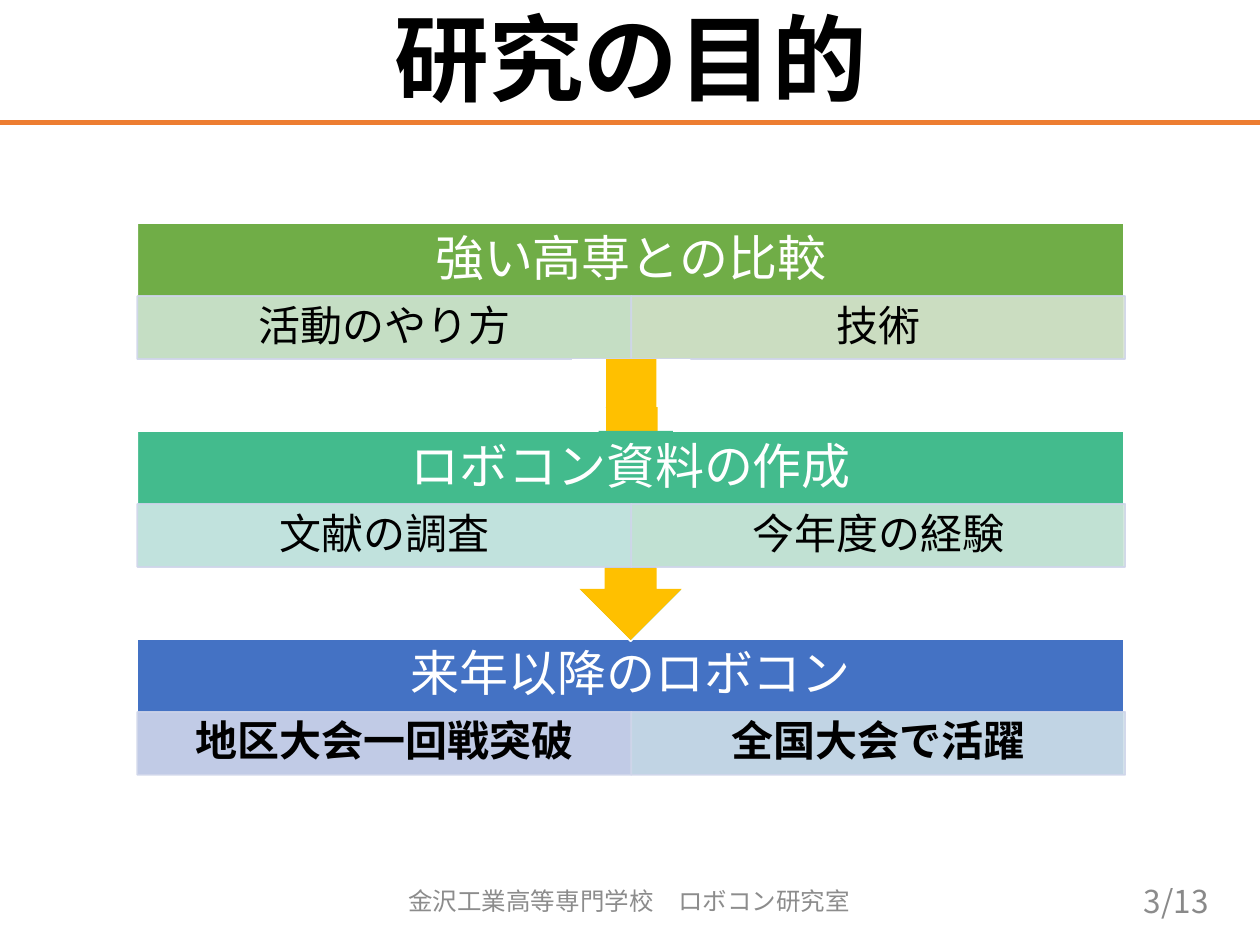
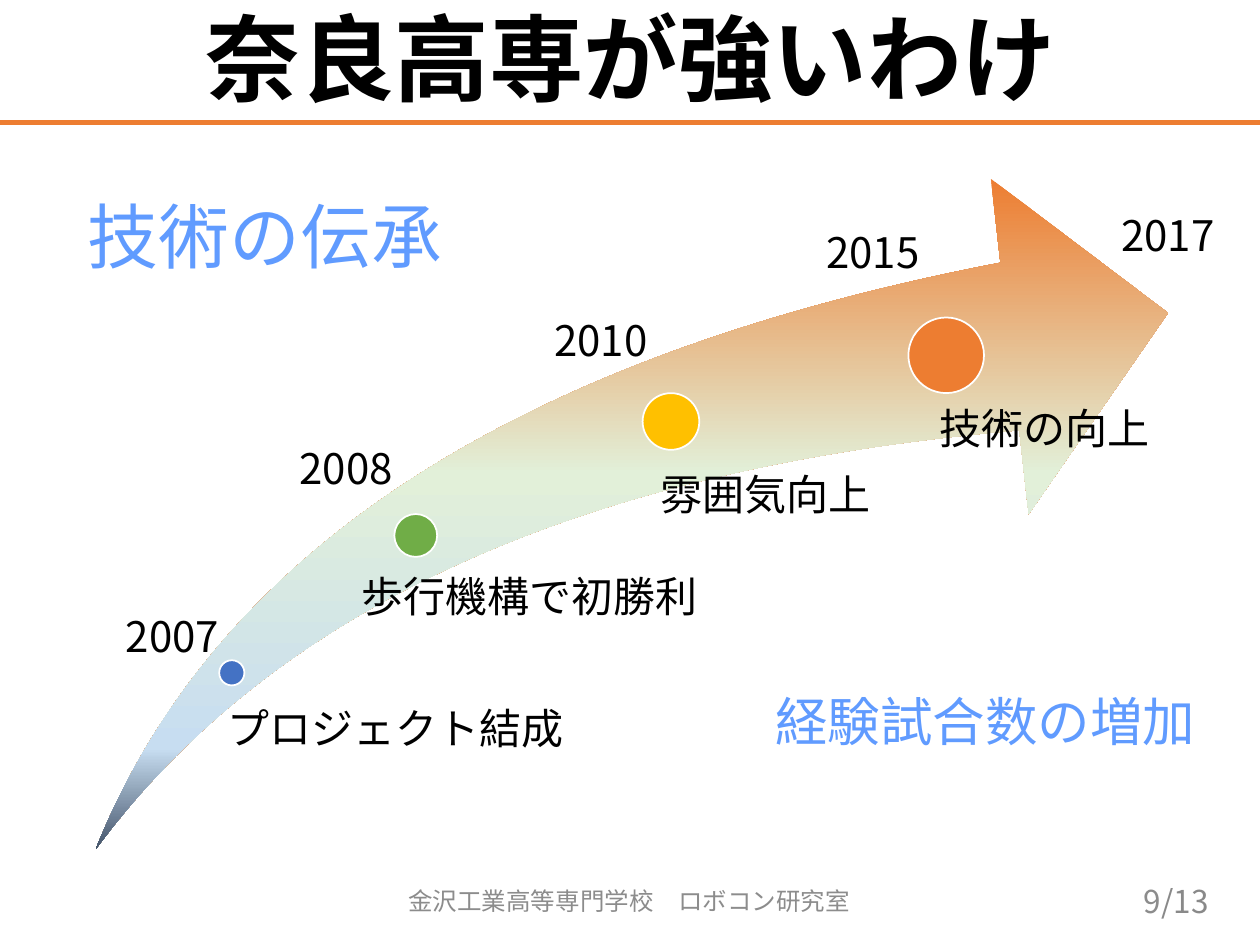
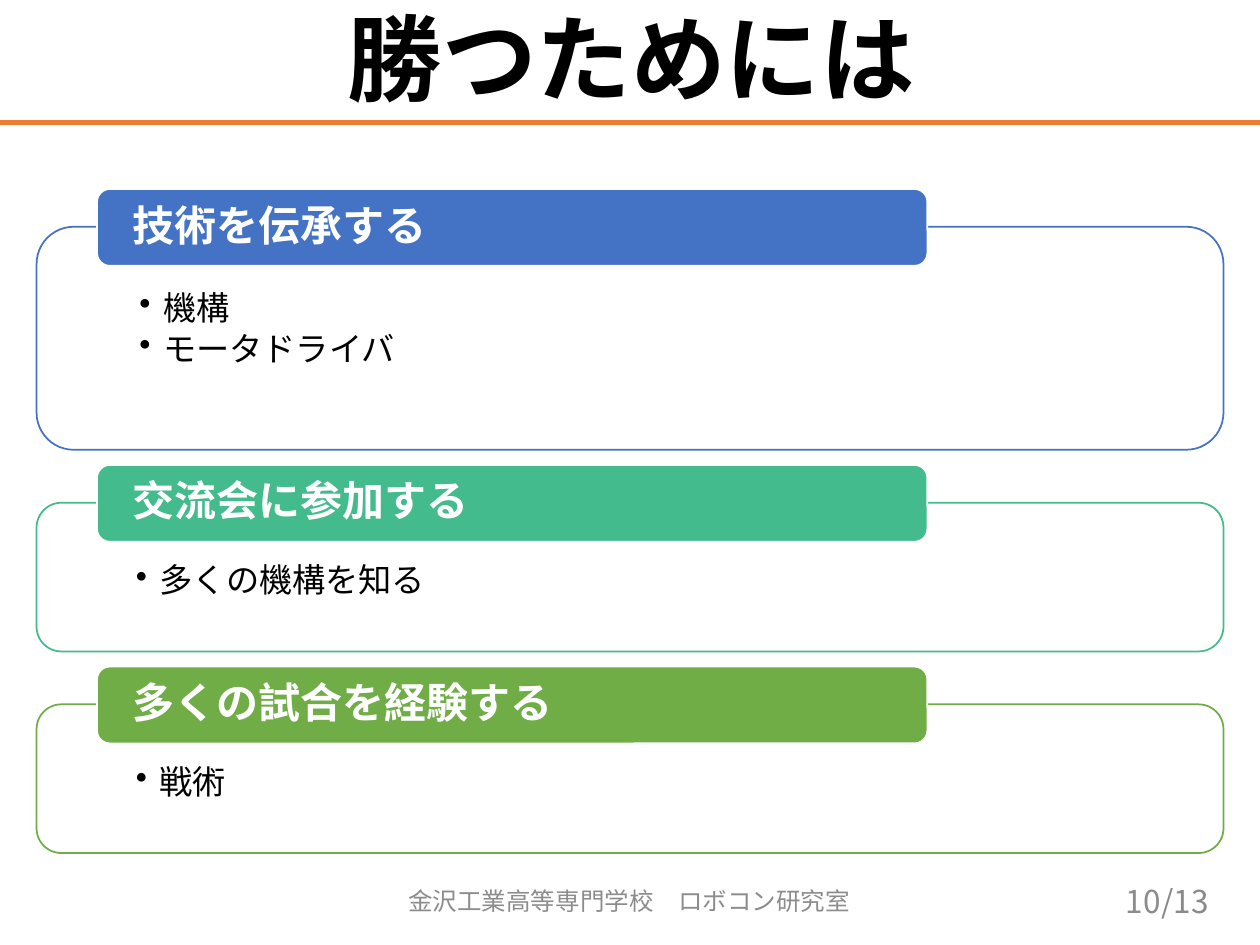
from lxml.etree import SubElement
from pptx import Presentation
from pptx.dml.color import RGBColor
from pptx.enum.shapes import MSO_CONNECTOR as Connector, MSO_SHAPE as Shape
from pptx.enum.text import MSO_ANCHOR as Anchor, PP_ALIGN as Align
from pptx.oxml.ns import qn
from pptx.util import Emu, Pt

BLUE, TEAL, GREEN = "4472C4", "43BB8D", "70AD47"
ORANGE, YELLOW = "ED7D31", "FFC000"
WHITE, BLACK, GREY, SKY = "FFFFFF", "000000", "8C8C8C", "609BFF"
CELL_EDGE = "CFD5EA"


def px(length):
    return Emu(length * 9144)


def rgb(color):
    return RGBColor.from_string(color)


def set_alpha(parent, percent):
    color = parent.find(qn("a:solidFill")).find(qn("a:srgbClr"))
    SubElement(color, qn("a:alpha"), val=str(percent * 1000))


class Deck:
    font = "Noto Sans CJK JP"
    footer = "金沢工業高等専門学校　ロボコン研究室"
    total = "/13"

    def __init__(self):
        self.prs = Presentation()
        self.prs.slide_width, self.prs.slide_height = px(1000), px(750)
        self.slide = None

    def new_slide(self, title):
        self.slide = self.prs.slides.add_slide(self.prs.slide_layouts[6])
        self.text((912, 695, 88, 40), self.total, 18, "898989")
        self.text((126, 7, 750, 89), title, 54, bold=True, align=Align.CENTER,
                  anchor=Anchor.BOTTOM, spacing=0.9)

    def finish_slide(self, number):
        self.rule(-17, 97, 1016, 97)
        middle = {"color": GREY, "anchor": Anchor.MIDDLE}
        self.text((706, 695, 225, 40), str(number), 18, align=Align.RIGHT, **middle)
        self.text((304, 695, 391, 40), self.footer, 14, align=Align.CENTER, **middle)

    def rule(self, x1, y1, x2, y2):
        line = self.slide.shapes.add_connector(Connector.STRAIGHT, *map(px, (x1, y1, x2, y2)))
        line.line.color.rgb = rgb(ORANGE)
        line.line.width = Pt(3)
        SubElement(line._element.spPr, qn("a:effectLst"))

    def shape(self, kind, box, fill, edge=None, alpha=None, edge_alpha=None,
              adjust=(), rotation=0):
        shape = self.slide.shapes.add_shape(kind, *map(px, box))
        shape.shadow.inherit = False
        shape.rotation = rotation
        for index, value in enumerate(adjust):
            shape.adjustments[index] = value
        shape.fill.solid()
        shape.fill.fore_color.rgb = rgb(fill)
        if alpha:
            set_alpha(shape._element.spPr, alpha)
        if edge:
            shape.line.color.rgb = rgb(edge)
            shape.line.width = Pt(1)
            if edge_alpha:
                set_alpha(shape.line._ln, edge_alpha)
        else:
            shape.line.fill.background()
        return shape

    def gradient(self, shape, stops):
        shape.fill.gradient()
        shape.fill.gradient_angle = 270
        stop_list = shape._element.spPr.find(qn("a:gradFill")).find(qn("a:gsLst"))
        for stop in list(stop_list):
            stop_list.remove(stop)
        for position, color in stops:
            stop = SubElement(stop_list, qn("a:gs"), pos=str(position * 1000))
            SubElement(stop, qn("a:srgbClr"), val=color)

    def text(self, box, content, size, color=BLACK, **style):
        holder = self.slide.shapes.add_textbox(*map(px, box))
        self.fill_text(holder, [content], size, color, **style)

    def fill_text(self, holder, lines, size, color=BLACK, bold=False, align=Align.LEFT,
                  anchor=Anchor.TOP, inset=(10, 5, 10, 5), spacing=1.0, gap=0, bullet=False):
        frame = holder.text_frame
        left, top, right, bottom = map(px, inset)
        layout = {"word_wrap": True, "vertical_anchor": anchor, "margin_left": left,
                  "margin_top": top, "margin_right": right, "margin_bottom": bottom}
        for name, value in layout.items():
            setattr(frame, name, value)
        for index, line in enumerate(lines):
            paragraph = frame.add_paragraph() if index else frame.paragraphs[0]
            if bullet:
                self.bullet(paragraph)
            for name, value in {"alignment": align, "line_spacing": spacing,
                                "space_after": Pt(gap)}.items():
                setattr(paragraph, name, value)
            run = paragraph.add_run()
            run.text = line
            for name, value in {"size": Pt(size), "bold": bold, "name": self.font}.items():
                setattr(run.font, name, value)
            run.font.color.rgb = rgb(color)
            SubElement(run._r.get_or_add_rPr(), qn("a:ea"), typeface=self.font)

    def bullet(self, paragraph):
        props = paragraph._p.get_or_add_pPr()
        props.set("marL", str(px(19)))
        props.set("indent", str(px(-19)))
        SubElement(props, qn("a:buChar"), char="•")

    def step(self, top, heading, color, cells, last):
        if last:
            self.shape(Shape.RECTANGLE, (109, top, 783, 108), color, WHITE)
        else:
            self.shape(Shape.UP_ARROW_CALLOUT, (109, top, 783, 167), color, WHITE, rotation=180)
        centred = {"align": Align.CENTER, "anchor": Anchor.MIDDLE, "spacing": 0.9}
        self.text((109, top, 783, 59), heading, 28, WHITE, inset=(22, 0, 22, 0), **centred)
        for column, (label, tint) in enumerate(cells):
            cell = self.shape(Shape.RECTANGLE, (109 + 392 * column, top + 58, 392, 50),
                              tint, CELL_EDGE, alpha=90, edge_alpha=90)
            self.fill_text(cell, [label], 24, bold=last, inset=(19, 3, 19, 3), **centred)

    def milestone(self, dot, color, label_box, label, indent):
        left, top, size = dot
        self.shape(Shape.OVAL, (left, top, size, size), color, WHITE)
        self.text(label_box, label, 24, inset=(indent, 0, 0, 0), spacing=0.9)

    def panel(self, top, height, color, heading, points):
        body = self.shape(Shape.ROUNDED_RECTANGLE, (29, top + 30, 942, height),
                          WHITE, color, alpha=90)
        self.fill_text(body, points, 19, inset=(73, 43, 73, 15), spacing=0.9, gap=3, bullet=True)
        tab = self.shape(Shape.ROUNDED_RECTANGLE, (77, top, 659, 61), color, WHITE)
        self.fill_text(tab, [heading], 24, WHITE, bold=True, anchor=Anchor.MIDDLE,
                       inset=(25, 0, 25, 0), spacing=0.9)


def purpose(deck):
    steps = [
        ("強い高専との比較", GREEN, [("活動のやり方", "CFE4D2"), ("技術", "D5E3CF")]),
        ("ロボコン資料の作成", TEAL, [("文献の調査", "CFE7E6"), ("今年度の経験", "CFE6DB")]),
        ("来年以降のロボコン", BLUE, [("地区大会一回戦突破", "CFD5EA"), ("全国大会で活躍", "CFDFE8")]),
    ]
    deck.new_slide("研究の目的")
    for index, (heading, color, cells) in reversed(list(enumerate(steps))):
        deck.step(177 + 165 * index, heading, color, cells, index == len(steps) - 1)
    deck.shape(Shape.RECTANGLE, (481, 285, 41, 58), YELLOW)
    for left in (454, 521):
        deck.shape(Shape.RECTANGLE, (left, 285, 27, 38), WHITE)
    deck.shape(Shape.DOWN_ARROW, (460, 451, 81, 57), YELLOW, adjust=(0.51, 0.71))
    deck.shape(Shape.RECTANGLE, (475, 342, 59, 5), TEAL)
    deck.finish_slide(3)


def history(deck):
    milestones = [
        ((174, 524, 20), BLUE, (171, 562, 375, 112), "プロジェクト結成", 10),
        ((313, 408, 34), GREEN, (269, 457, 334, 191), "歩行機構で初勝利", 18),
        ((510, 312, 45), YELLOW, (500, 376, 236, 267), "雰囲気向上", 24),
        ((721, 252, 60), ORANGE, (714, 324, 208, 318), "技術の向上", 32),
    ]
    years = [("2007", 90, 480), ("2008", 228, 346), ("2010", 430, 245),
             ("2015", 646, 175), ("2017", 880, 161)]
    deck.new_slide("奈良高専が強いわけ")
    swoosh = deck.shape(Shape.SWOOSH_ARROW, (76, 142, 851, 532), ORANGE, adjust=(0.25, 0.25))
    deck.gradient(swoosh, [(0, ORANGE), (44, "E2F0D9"), (85, "C7DDF1"), (100, "44546A")])
    for milestone in milestones:
        deck.milestone(*milestone)
    for year, left, top in years:
        deck.text((left, top, 104, 50), year, 24)
    callout = {"color": SKY, "align": Align.CENTER, "inset": (7, 4, 7, 4)}
    deck.text((61, 149, 299, 76), "技術の伝承", 40.5, **callout)
    deck.text((582, 543, 400, 58), "経験試合数の増加", 30, **callout)
    deck.finish_slide(9)


def winning(deck):
    panels = [
        (177, BLUE, "技術を伝承する", ["機構", "モータドライバ"]),
        (118, TEAL, "交流会に参加する", ["多くの機構を知る"]),
        (118, GREEN, "多くの試合を経験する", ["戦術"]),
    ]
    deck.new_slide("勝つためには")
    top = 150
    for height, color, heading, points in panels:
        deck.panel(top, height, color, heading, points)
        top += height + 42
    deck.finish_slide(10)


def main():
    deck = Deck()
    for build in (purpose, history, winning):
        build(deck)
    deck.prs.save("out.pptx")


if __name__ == "__main__":
    main()
